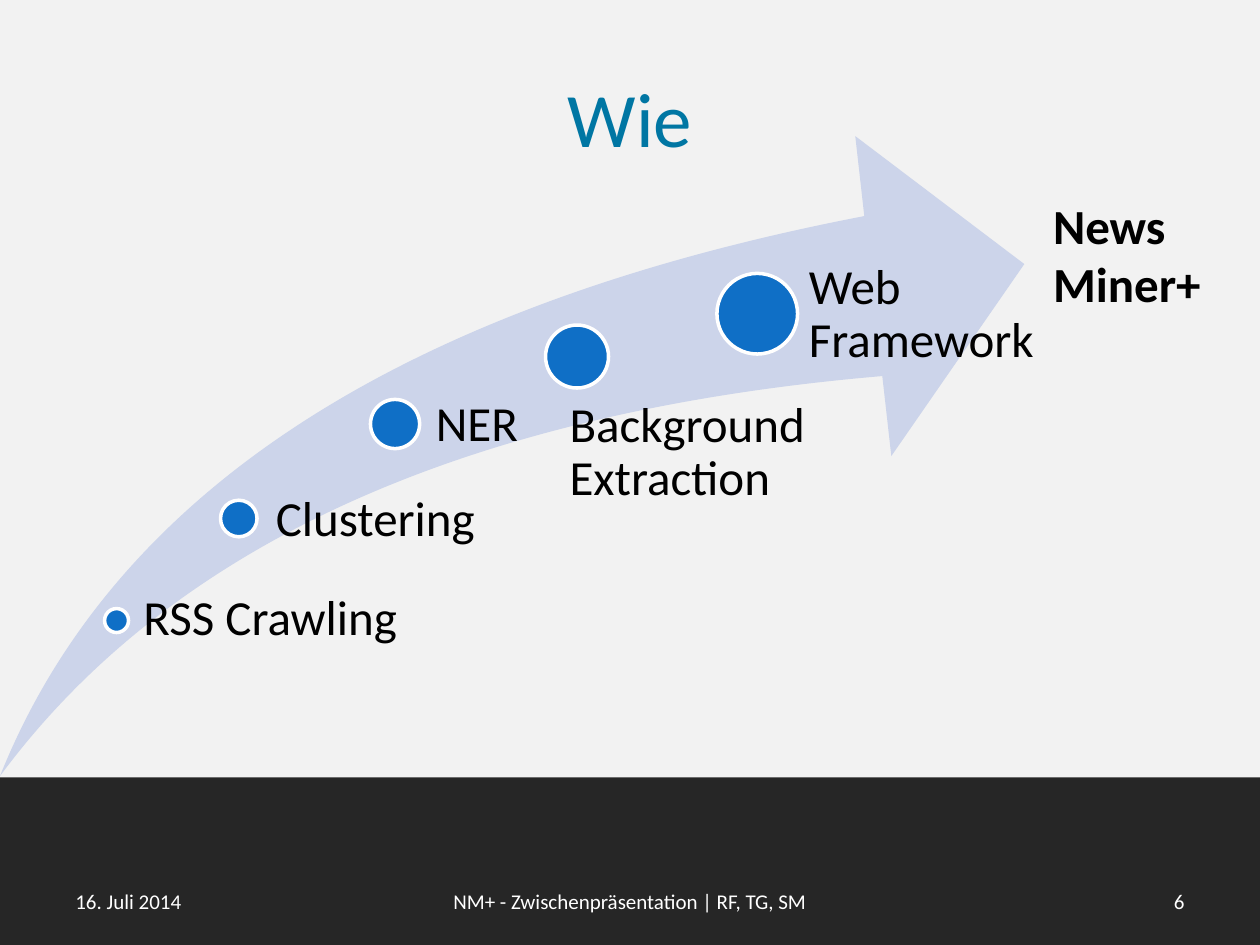
"""Build the process slide with a rising arrow, its five steps and the goal."""
from dataclasses import dataclass

import pptx
import pptx.dml.color
import pptx.enum.shapes
import pptx.enum.text
import pptx.util

Inches = pptx.util.Inches
Pt = pptx.util.Pt
Shape = pptx.enum.shapes.MSO_SHAPE
Align = pptx.enum.text.PP_ALIGN
Anchor = pptx.enum.text.MSO_ANCHOR


@dataclass(frozen=True)
class Theme:
    """Colours, type sizes and font of the slide."""
    font: str = "Calibri"
    background: str = "F2F2F2"
    band: str = "262626"
    arrow: str = "CCD4EA"
    dot: str = "0F6FC6"
    title: str = "0076A3"
    dark: str = "000000"
    light: str = "FFFFFF"
    title_size: int = 44
    label_size: int = 28
    footer_size: int = 12


@dataclass(frozen=True)
class Box:
    """Position and size in inches."""
    left: float
    top: float
    width: float
    height: float

    def lengths(self) -> list:
        """Return the four measures as lengths."""
        return [Inches(value) for value in (self.left, self.top, self.width, self.height)]


@dataclass(frozen=True)
class Step:
    """A dot on the arrow and its label."""
    label: str
    dot: Box
    box: Box
    inset: float


@dataclass(frozen=True)
class Footer:
    """One entry of the footer line."""
    text: str
    left: float
    width: float
    align: Align


THEME = Theme()

STEPS = [
    Step("RSS Crawling", Box(0.83, 4.83, 0.19, 0.19), Box(1.04, 4.71, 2.55, 0.96), 0.1),
    Step("Clustering", Box(1.75, 3.97, 0.29, 0.29), Box(2.03, 3.92, 2.14, 0.87), 0.16),
    Step("NER", Box(2.94, 3.17, 0.39, 0.39), Box(3.25, 3.17, 0.94, 0.69), 0.21),
    Step("Background\nExtraction", Box(4.33, 2.58, 0.5, 0.5), Box(4.25, 3.18, 2.79, 1.07), 0.27),
    Step("Web\nFramework", Box(5.69, 2.17, 0.64, 0.64), Box(6.08, 2.08, 3.13, 1.07), 0.34),
]

FOOTERS = [
    Footer("16. Juli 2014", 0.5, 2.33, Align.LEFT),
    Footer("NM+ - Zwischenpräsentation | RF, TG, SM", 3, 4, Align.CENTER),
    Footer("6", 7.17, 2.33, Align.RIGHT),
]


def colour(value: str) -> pptx.dml.color.RGBColor:
    """Convert a hex value to a colour."""
    return pptx.dml.color.RGBColor.from_string(value)


def apply_format(target, values: dict) -> None:
    """Set every attribute named in the format values."""
    for name, value in values.items():
        setattr(target, name, value)


def write_text(shape, text: str, size: int, hex_colour: str, bold: bool = False,
               frame_format: dict | None = None, paragraph_format: dict | None = None) -> None:
    """Fill a shape with one formatted paragraph."""
    frame = shape.text_frame
    apply_format(frame, {"word_wrap": True, **(frame_format or {})})
    paragraph = frame.paragraphs[0]
    paragraph.text = text
    apply_format(paragraph, paragraph_format or {})
    for run in paragraph.runs:
        apply_format(run.font, {"name": THEME.font, "size": Pt(size), "bold": bold})
        run.font.color.rgb = colour(hex_colour)


def add_filled(slide, kind: Shape, box: Box, fill: str, outline: str | None = None):
    """Add a flat preset shape with an optional outline."""
    shape = slide.shapes.add_shape(kind, *box.lengths())
    shape.shadow.inherit = False
    shape.fill.solid()
    shape.fill.fore_color.rgb = colour(fill)
    if outline:
        shape.line.color.rgb = colour(outline)
        shape.line.width = Pt(2)
    else:
        shape.line.fill.background()
    return shape


def add_step(slide, step: Step) -> None:
    """Add the dot and the label of one step."""
    add_filled(slide, Shape.OVAL, step.dot, THEME.dot, THEME.light)
    write_text(slide.shapes.add_textbox(*step.box.lengths()), step.label,
               THEME.label_size, THEME.dark,
               frame_format={"margin_left": Inches(step.inset), "margin_top": 0,
                             "margin_right": 0, "margin_bottom": 0},
               paragraph_format={"line_spacing": 0.9})


def add_footer(slide, footer: Footer) -> None:
    """Add one entry of the footer line."""
    box = Box(footer.left, 6.95, footer.width, 0.4)
    write_text(slide.shapes.add_textbox(*box.lengths()), footer.text,
               THEME.footer_size, THEME.light,
               frame_format={"vertical_anchor": Anchor.MIDDLE},
               paragraph_format={"alignment": footer.align})


def main() -> None:
    """Build and save the presentation."""
    presentation = pptx.Presentation()
    apply_format(presentation, {"slide_width": Inches(10), "slide_height": Inches(7.5)})
    slide = presentation.slides.add_slide(presentation.slide_layouts[5])
    slide.background.fill.solid()
    slide.background.fill.fore_color.rgb = colour(THEME.background)

    title = slide.shapes.title
    apply_format(title, dict(zip(("left", "top", "width", "height"),
                                 Box(0.5, 0.3, 9, 1.25).lengths())))
    write_text(title, "Wie", THEME.title_size, THEME.title,
               frame_format={"vertical_anchor": Anchor.MIDDLE},
               paragraph_format={"alignment": Align.CENTER})

    add_filled(slide, Shape.RECTANGLE, Box(0, 6.17, 10, 1.33), THEME.band)
    arrow = add_filled(slide, Shape.SWOOSH_ARROW, Box(0, 1.08, 8.13, 5.08), THEME.arrow)
    for index in range(2):
        arrow.adjustments[index] = 0.25

    for step in STEPS:
        add_step(slide, step)
    for footer in FOOTERS:
        add_footer(slide, footer)

    goal = slide.shapes.add_textbox(*Box(8.26, 1.5, 1.45, 1.03).lengths())
    write_text(goal, "News\nMiner+", THEME.label_size, THEME.dark, bold=True,
               frame_format={"word_wrap": False})
    presentation.save("out.pptx")


if __name__ == "__main__":
    main()
